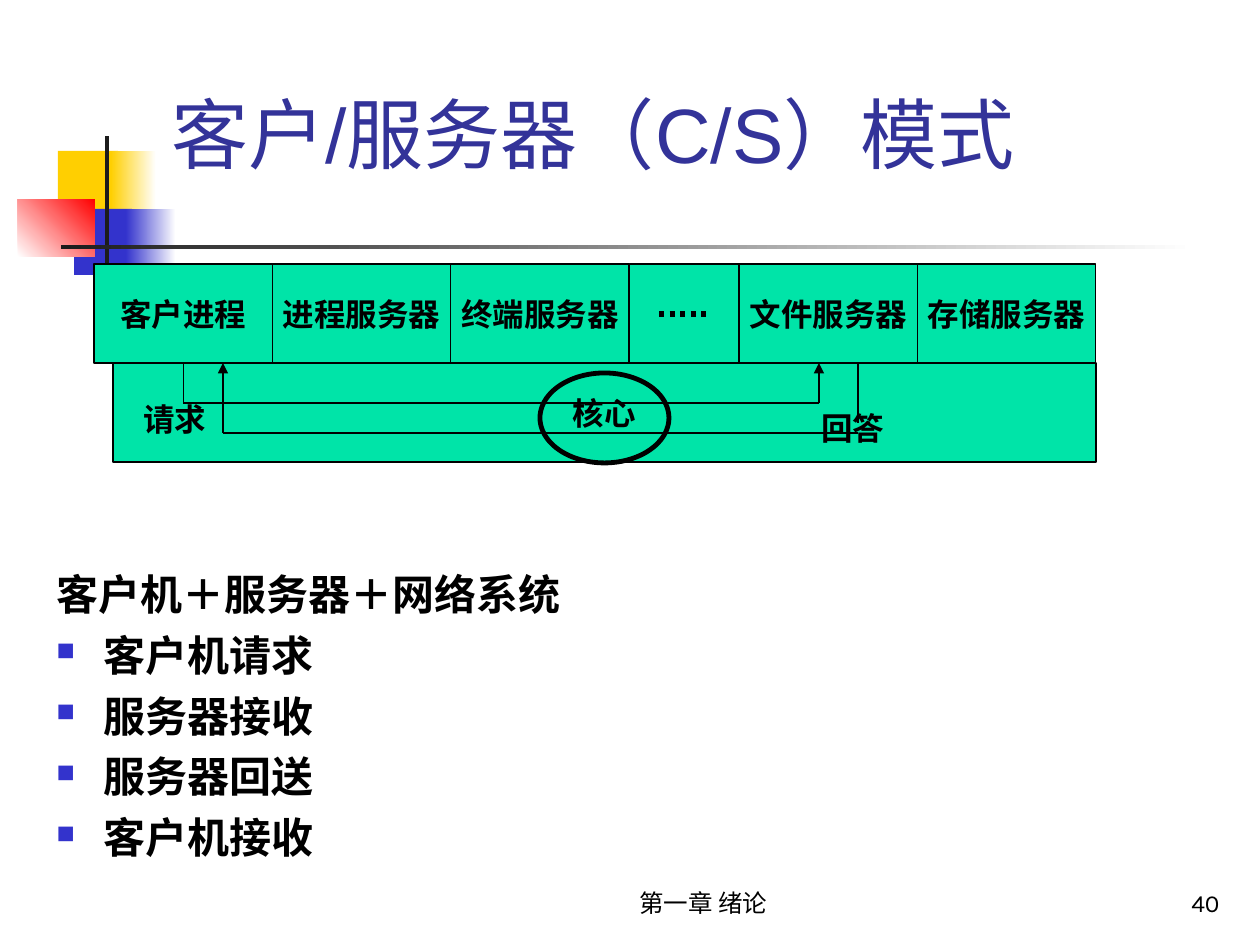
from lxml.etree import SubElement
from pptx import Presentation
from pptx.dml.color import RGBColor
from pptx.enum.dml import MSO_LINE
from pptx.enum.shapes import MSO_CONNECTOR, MSO_SHAPE
from pptx.enum.text import MSO_ANCHOR, PP_ALIGN
from pptx.oxml.ns import qn
from pptx.util import Pt

PX = 914400 // 126
COLORS = {
    "ink": "000000", "bar": "1C1C1C", "white": "FFFFFF", "gold": "FFCF01",
    "blue": "3333CC", "red": "FF0000", "title": "333399", "green": "00E4A8",
}
HEAD = {"size": Pt(44), "name": "Arial"}
LABEL = {"size": Pt(18), "name": "Arial", "bold": True}
LIST = {"size": Pt(24), "name": "Times New Roman", "bold": True}
FOOT = {"size": Pt(14), "name": "Karla"}


def emu(*nums):
    return [round(n * PX) for n in nums]


def rgb(name):
    return RGBColor.from_string(COLORS[name])


def write(para, text, form, color="ink"):
    run = para.add_run()
    run.text = text
    for key, val in form.items():
        setattr(run.font, key, val)
    run.font.color.rgb = rgb(color)


def add_text(slide, box, text, form, color="ink",
             align=PP_ALIGN.LEFT, anchor=MSO_ANCHOR.TOP):
    frame = slide.shapes.add_textbox(*emu(*box)).text_frame
    frame.word_wrap = True
    frame.vertical_anchor = anchor
    para = frame.paragraphs[0]
    para.alignment = align
    write(para, text, form, color)
    return frame


def add_box(slide, box, fill=None, line=None, kind=MSO_SHAPE.RECTANGLE):
    shape = slide.shapes.add_shape(kind, *emu(*box))
    shape.shadow.inherit = False
    if fill:
        shape.fill.solid()
        shape.fill.fore_color.rgb = rgb(fill)
    else:
        shape.fill.background()
    if line:
        shape.line.color.rgb = rgb("ink")
        shape.line.width = Pt(line)
    else:
        shape.line.fill.background()
    return shape


def add_fade(slide, box, start, end, angle=0):
    fill = add_box(slide, box).fill
    fill.gradient()
    fill.gradient_angle = angle
    for stop, name in zip(fill.gradient_stops, (start, end)):
        stop.color.rgb = rgb(name)


def add_cell(slide, box, text=""):
    shape = add_box(slide, box, "green", 0.75)
    if text:
        frame = shape.text_frame
        frame.word_wrap = False
        frame.vertical_anchor = MSO_ANCHOR.MIDDLE
        para = frame.paragraphs[0]
        para.alignment = PP_ALIGN.CENTER
        write(para, text, LABEL)
    return shape


def add_line(slide, start, end, width=0.75, arrow=False):
    link = slide.shapes.add_connector(
        MSO_CONNECTOR.STRAIGHT, *emu(*start, *end))
    link.line.color.rgb = rgb("ink")
    link.line.width = Pt(width)
    if arrow:
        SubElement(link.line._get_or_add_ln(), qn("a:tailEnd"), type="triangle")
    SubElement(link._element.spPr, qn("a:effectLst"))
    return link


def draw_decor(slide, x, y):
    # Coloured blocks that fade out
    add_box(slide, (x + 40, y + 15, 60, 66), "gold")
    add_fade(slide, (x + 93, y + 15, 45, 66), "gold", "white")
    add_box(slide, (x + 56, y + 73, 58, 66), "blue")
    add_fade(slide, (x + 108, y + 73, 50, 66), "blue", "white")
    add_fade(slide, (x, y + 63, 77, 58), "white", "red", 45)
    # Crossing bars
    add_box(slide, (x + 87, y, 4, 145), "bar")
    add_fade(slide, (x + 43, y + 109, 1134, 4), "bar", "white")


def draw_model(slide, x, y, width):
    tall, gap = 99, 110
    wide = (width - gap) / 5
    base = y + tall

    # Row of processes, with a narrow cell for the dots
    names = ["客户进程", "进程服务器", "终端服务器", "",
             "文件服务器", "存储服务器"]
    cells, left = [], x
    for name in names:
        size = wide if name else gap
        cells.append(add_cell(slide, (left, y, size, tall), name))
        if not name:
            mid = left + gap / 2
        left += size
    dots = add_line(slide, (mid - 25, y + 50), (mid + 25, y + 50), 3)
    dots.line.dash_style = MSO_LINE.ROUND_DOT

    # Kernel
    add_cell(slide, (x + 19, base, width - 19, tall), "核心")

    # Request path
    ask, reach, low = x + wide / 2, x + 725, base + 40
    drop = add_line(slide, (ask, base), (ask, low))
    drop.begin_connect(cells[0], 2)
    add_line(slide, (ask, low), (reach, low))
    add_line(slide, (reach, low), (reach, base), arrow=True)

    # Labels and kernel ring
    add_text(slide, (x + 37, base + 31, 151, 50), "请求", LABEL)
    add_text(slide, (x + 715, base + 40, 139, 50), "回答", LABEL)
    add_box(slide, (x + 446, base + 10, 129, 90), line=2.75,
            kind=MSO_SHAPE.OVAL)

    # Reply path
    back, home, deep = x + 764, x + 129, base + 70
    add_line(slide, (back, base), (back, deep - 10))
    add_line(slide, (home, deep), (back, deep))
    add_line(slide, (home, deep), (home, base), arrow=True)


def draw_list(slide, box):
    steps = ["客户机请求", "服务器接收", "服务器回送", "客户机接收"]
    frame = add_text(slide, box, "客户机＋服务器＋网络系统", LIST)
    for step in steps:
        para = frame.add_paragraph()
        para.space_before = Pt(6)
        props = para._p.get_or_add_pPr()
        tint = SubElement(props, qn("a:buClr"))
        SubElement(tint, qn("a:srgbClr"), val=COLORS["blue"])
        SubElement(props, qn("a:buSzPct"), val="60000")
        SubElement(props, qn("a:buChar"), char="■")
        write(para, step, LIST)
    indent = 47 * PX
    for para in frame.paragraphs:
        props = para._p.get_or_add_pPr()
        props.set("marL", str(indent))
        props.set("indent", str(-indent))


def draw_foot(slide, y):
    add_text(slide, (504, y, 399, 63), "第一章 绪论", FOOT,
             align=PP_ALIGN.CENTER, anchor=MSO_ANCHOR.BOTTOM)
    add_text(slide, (970, y, 262, 63), "40", FOOT,
             align=PP_ALIGN.RIGHT, anchor=MSO_ANCHOR.BOTTOM)


def main():
    deck = Presentation()
    deck.slide_width, deck.slide_height = emu(1260, 945)
    slide = deck.slides.add_slide(deck.slide_layouts[6])
    draw_decor(slide, 18, 136)
    draw_foot(slide, 861)
    add_text(slide, (159, 77, 1073, 108), "客户/服务器（C/S）模式", HEAD,
             "title", anchor=MSO_ANCHOR.BOTTOM)
    draw_model(slide, 94, 264, 1002)
    draw_list(slide, (44, 562, 1121, 307))
    deck.save("out.pptx")


if __name__ == "__main__":
    main()
